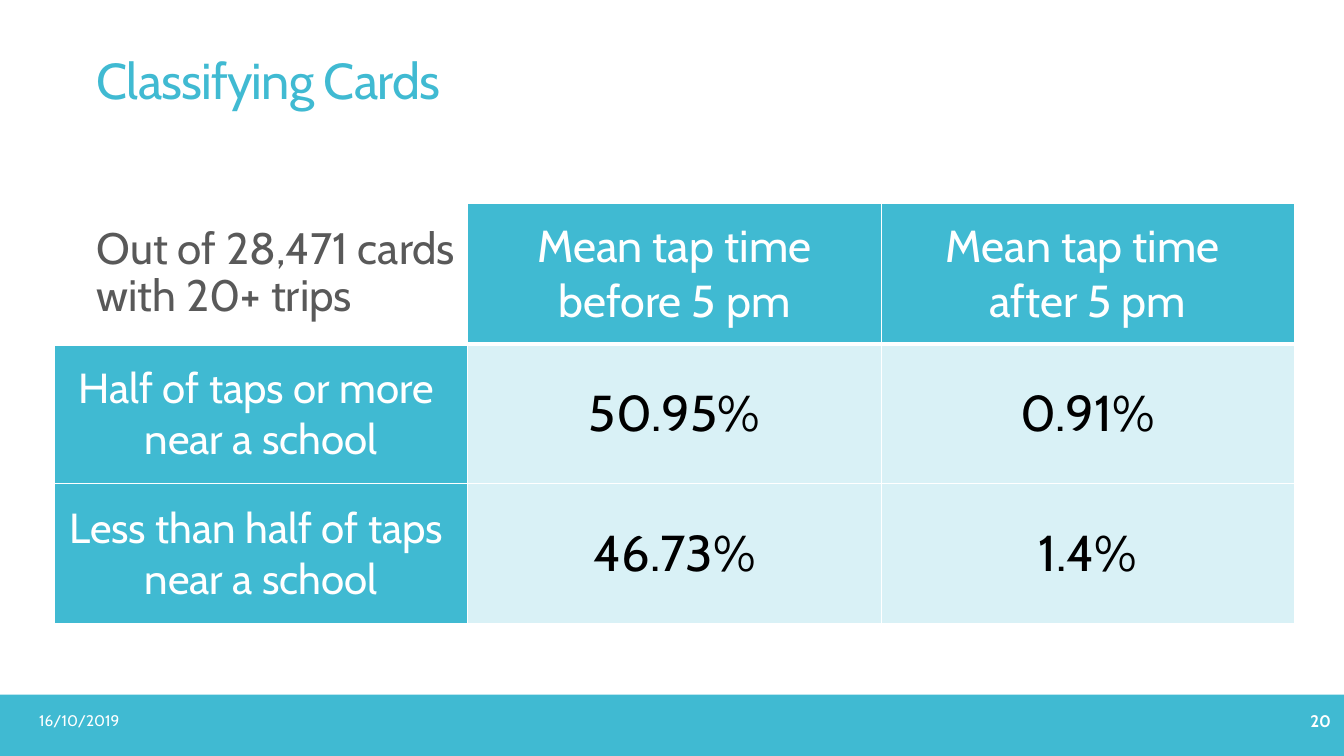
import dataclasses

import lxml.etree
import pptx
import pptx.dml.color
import pptx.enum.shapes
import pptx.enum.text
import pptx.oxml.ns
import pptx.util

Inches = pptx.util.Inches
Pt = pptx.util.Pt
Align = pptx.enum.text.PP_ALIGN
qn = pptx.oxml.ns.qn


@dataclasses.dataclass(frozen=True)
class Theme:
    font: str = "Cabin"
    teal: str = "40BAD2"
    pale: str = "D9F1F6"
    white: str = "FFFFFF"
    black: str = "000000"
    gray: str = "595959"
    title: float = 36
    head: float = 32
    side: float = 30
    value: float = 36
    note: float = 31.4
    date: float = 11
    page: float = 12


THEME = Theme()
ROWS = [
    ["", "Mean tap time before 5 pm", "Mean tap time \vafter 5 pm"],
    ["Half of taps or more \vnear a school", "50.95%", "0.91%"],
    ["Less than half of taps \vnear a school", "46.73%", "1.4%"],
]


def apply(target, form):
    for name, value in form.items():
        setattr(target, name, value)


def color(code):
    return pptx.dml.color.RGBColor.from_string(code)


def paint(item, code):
    item.fill.solid()
    item.fill.fore_color.rgb = color(code)


def write(frame, text, size, code, bold=False, **form):
    apply(frame, {
        "word_wrap": True,
        "vertical_anchor": pptx.enum.text.MSO_ANCHOR.MIDDLE,
    })
    para = frame.paragraphs[0]
    para.text = text
    apply(para, form)
    for run in para.runs:
        apply(run.font, {"name": THEME.font, "size": Pt(size), "bold": bold})
        run.font.color.rgb = color(code)
    return para


def add_title(slide, text):
    title = slide.shapes.title
    apply(title, {"left": Inches(0.86), "top": Inches(0.42),
                  "width": Inches(11.61), "height": Inches(0.82)})
    title.text_frame.auto_size = pptx.enum.text.MSO_AUTO_SIZE.NONE
    para = write(title.text_frame, text, THEME.title, THEME.teal,
                 alignment=Align.LEFT, line_spacing=0.9)
    para.runs[0].font._element.set("spc", "-60")


def add_text(slide, box, text, size, code, **form):
    shape = slide.shapes.add_textbox(*map(Inches, box))
    write(shape.text_frame, text, size, code, **form)


def add_band(slide):
    band = slide.shapes.add_shape(
        pptx.enum.shapes.MSO_SHAPE.RECTANGLE,
        Inches(0), Inches(6.89), Inches(13.33), Inches(0.61))
    band.shadow.inherit = False
    band.line.fill.background()
    paint(band, THEME.teal)


def add_edges(cell, widths):
    props = cell._tc.get_or_add_tcPr()
    for spot, (side, width) in enumerate(widths.items()):
        line = lxml.etree.Element(qn("a:ln" + side), w=str(Pt(width)))
        fill = lxml.etree.SubElement(line, qn("a:solidFill"))
        lxml.etree.SubElement(fill, qn("a:srgbClr"), val=THEME.white)
        props.insert(spot, line)


def style(row, col):
    if row == 0:
        return THEME.head, THEME.white, THEME.teal
    if col == 0:
        return THEME.side, THEME.white, THEME.teal
    return THEME.value, THEME.black, THEME.pale


def add_grid(slide, rows):
    frame = slide.shapes.add_table(
        len(rows), len(rows[0]),
        Inches(0.54), Inches(2.02), Inches(12.3), Inches(4.17))
    table = frame.table
    for line in table.columns:
        line.width = Inches(4.1)
    for line in table.rows:
        line.height = Inches(1.39)
    for row, texts in enumerate(rows):
        for col, text in enumerate(texts):
            cell = table.cell(row, col)
            size, ink, back = style(row, col)
            if text:
                paint(cell, back)
                write(cell.text_frame, text, size, ink,
                      alignment=Align.CENTER)
                cell.vertical_anchor = pptx.enum.text.MSO_ANCHOR.MIDDLE
            else:
                cell.fill.background()
            add_edges(cell, {"L": 1, "R": 1, "T": 3 if row == 1 else 1,
                             "B": 3 if row == 0 else 1})


def main():
    deck = pptx.Presentation()
    apply(deck, {"slide_width": Inches(13.33), "slide_height": Inches(7.5)})
    slide = deck.slides.add_slide(deck.slide_layouts[5])
    add_band(slide)
    add_title(slide, "Classifying Cards")
    add_grid(slide, ROWS)
    add_text(slide, (0.29, 6.95, 3, 0.4), "16/10/2019",
             THEME.date, THEME.white)
    add_text(slide, (11.63, 6.95, 1.67, 0.4), "20",
             THEME.page, THEME.white, bold=True, alignment=Align.RIGHT)
    add_text(slide, (0.86, 2.02, 3.88, 1.39),
             "Out of 28,471 cards with 20+ trips",
             THEME.note, THEME.gray, line_spacing=0.9)
    deck.save("out.pptx")


if __name__ == "__main__":
    main()
